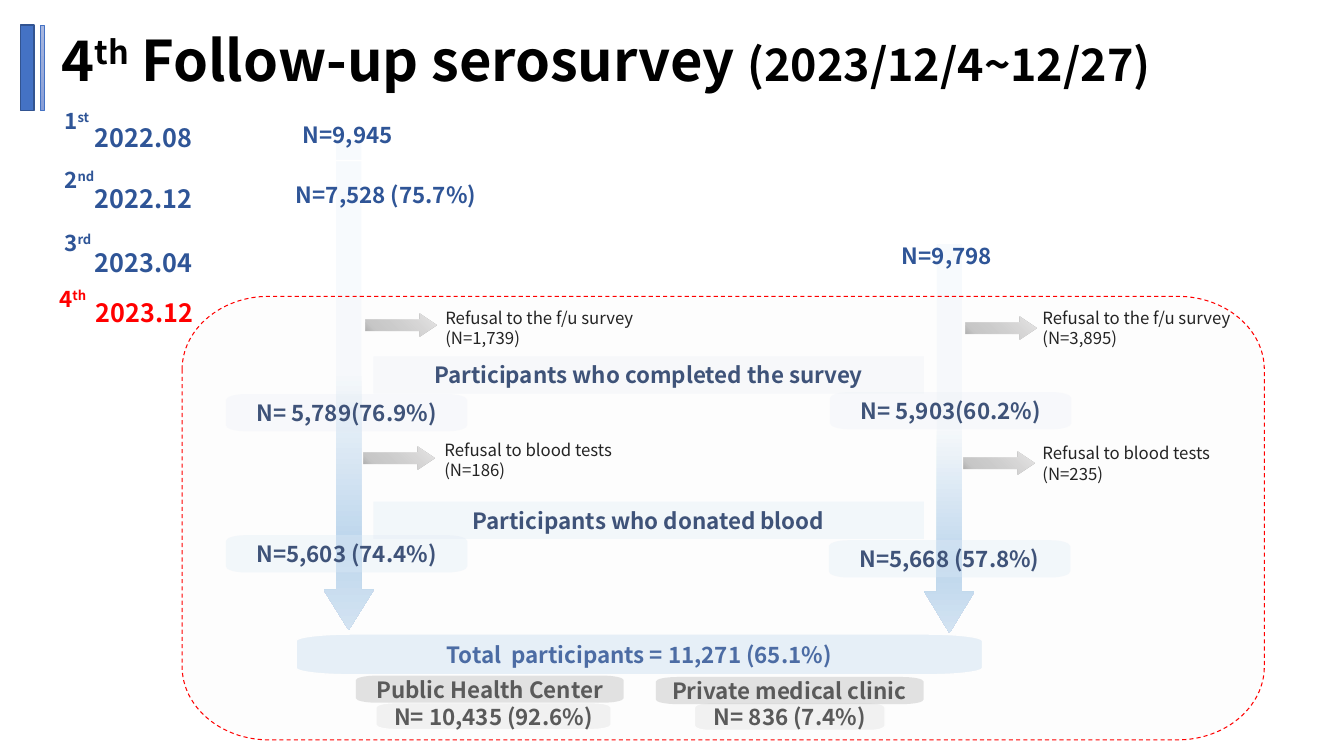
from lxml.etree import SubElement
from pptx import Presentation
from pptx.dml.color import RGBColor
from pptx.enum.dml import MSO_LINE
from pptx.enum.shapes import MSO_SHAPE
from pptx.enum.text import MSO_ANCHOR, MSO_AUTO_SIZE, PP_ALIGN
from pptx.oxml.ns import qn
from pptx.util import Pt

FONT = "Noto Sans CJK KR"
COLORS = {
    "black": "000000", "white": "FFFFFF", "red": "FF0000",
    "blue": "2F5597", "navy": "203864", "bar": "4472C4", "bar edge": "325491",
    "pale blue": "DEEBF7", "lavender": "DAE3F3",
    "charcoal": "404040", "gray": "A6A6A6", "light gray": "D9D9D9", "mist": "F2F2F2",
    "bar top": "A8B7DF", "bar middle": "9AABD9", "bar end": "889ED7",
    "flow top": "F7FAFD", "flow deep": "B5D2EC", "flow end": "CEE1F2",
    "exit tip": "E7E6E6", "exit body": "A5A5A5", "exit tail": "939393",
}
# Gradient stops: position, colour, opacity
BAR_STOPS = [(0, "bar top", 100), (50, "bar middle", 100), (100, "bar end", 100)]
FLOW_STOPS = [(47, "flow top", 100), (82, "flow deep", 100),
              (83, "flow deep", 100), (100, "flow end", 100)]
EXIT_STOPS = [(0, "exit tip", 100), (82, "exit body", 70), (100, "exit tail", 100)]


def rgb(name):
    return RGBColor.from_string(COLORS[name])


def points(*lengths):
    return [Pt(length) for length in lengths]


def write(frame, text, size=16, color="blue", bold=True, align=PP_ALIGN.CENTER,
          anchor=MSO_ANCHOR.TOP):
    """Write lines of text; a line is a string or a list of (text, size, raised)."""
    frame.word_wrap = True
    frame.vertical_anchor = anchor
    for index, line in enumerate(text if isinstance(text, list) else [text]):
        para = frame.add_paragraph() if index else frame.paragraphs[0]
        para.alignment = align
        for words, points_high, raised in [(line, size, False)] if isinstance(line, str) else line:
            span = para.add_run()
            span.text = words
            span.font.name = FONT
            span.font.size = Pt(points_high)
            span.font.bold = bold
            span.font.color.rgb = rgb(color)
            if raised:
                span.font._element.set("baseline", "30000")


def paint(shape, fill=None, opacity=100, line=None, width=1):
    shape.shadow.inherit = False
    if fill:
        shape.fill.solid()
        shape.fill.fore_color.rgb = rgb(fill)
        if opacity < 100:
            color = shape._element.spPr.find(qn("a:solidFill"))[0]
            SubElement(color, qn("a:alpha"), val=str(opacity * 1000))
    else:
        shape.fill.background()
    if line:
        shape.line.color.rgb = rgb(line)
        shape.line.width = Pt(width)
    else:
        shape.line.fill.background()


def shade(shape, stops, clockwise):
    shape.fill.gradient()
    shape.fill.gradient_angle = 360 - clockwise
    stop_list = shape._element.spPr.find(qn("a:gradFill")).find(qn("a:gsLst"))
    for old_stop in list(stop_list):
        stop_list.remove(old_stop)
    for position, name, opacity in stops:
        stop = SubElement(stop_list, qn("a:gs"), pos=str(position * 1000))
        color = SubElement(stop, qn("a:srgbClr"), val=COLORS[name])
        if opacity < 100:
            SubElement(color, qn("a:alpha"), val=str(opacity * 1000))


def add_block(page, kind, place, **look):
    shape = page.shapes.add_shape(kind, *points(*place))
    paint(shape, **look)
    return shape


def add_arrow(page, kind, place, head, stops, clockwise):
    arrow = add_block(page, kind, place)
    arrow.adjustments[0], arrow.adjustments[1] = 0.5, head
    shade(arrow, stops, clockwise)


def add_rounded(page, place, **look):
    """Draw a box whose corners are quarter ellipses in proportion to its sides."""
    left, top, width, height = place
    right, bottom, across, down = left + width, top + height, width * 0.08, height * 0.165
    outline = [points(*spot) for spot in [
        (left, top + down), (left + across, top), (right - across, top), (right, top + down),
        (right, bottom - down), (right - across, bottom),
        (left + across, bottom), (left, bottom - down)]]
    builder = page.shapes.build_freeform(*outline[0], scale=1.0)
    builder.add_line_segments(outline[1:], close=True)
    shape = builder.convert_to_shape()

    # Turn every second segment, which cuts a corner, into a curve
    ends = list(shape._element.spPr.iter(qn("a:pt")))
    spots = [(int(end.get("x")), int(end.get("y"))) for end in ends]
    for index in range(0, 8, 2):
        start, finish = spots[index], spots[index + 1]
        tip = (start[0], finish[1]) if index % 4 == 0 else (finish[0], start[1])
        curve = ends[index + 1].getparent()
        curve.tag = qn("a:cubicBezTo")
        for place_in_curve, base in enumerate([start, finish]):
            x, y = [round(a + (b - a) * 0.55) for a, b in zip(base, tip)]
            handle = SubElement(curve, qn("a:pt"), x=str(x), y=str(y))
            curve.insert(place_in_curve, handle)
    paint(shape, **look)
    return shape


def add_label(page, text, place, color="blue", size=16, align=PP_ALIGN.CENTER, **look):
    if look:
        box = add_rounded(page, place, **look)
    else:
        box = page.shapes.add_textbox(*points(*place))
    frame = box.text_frame
    frame.margin_left = Pt(0 if align == PP_ALIGN.CENTER else 11.5)
    frame.margin_right = frame.margin_top = frame.margin_bottom = 0
    write(frame, text, size=size, color=color, align=align, anchor=MSO_ANCHOR.MIDDLE)


def add_note(page, text, place, **form):
    box = page.shapes.add_textbox(*points(*place))
    write(box.text_frame, text, align=PP_ALIGN.LEFT, **form)


def add_dates(page, dates, place, heights):
    table = page.shapes.add_table(len(dates), 1, *points(*place)).table
    table.first_row = table.horz_banding = False
    for row, date, height in zip(table.rows, dates, heights):
        row.height = Pt(height)
        row.cells[0].fill.background()
        write(row.cells[0].text_frame, date, size=18)


def add_title(page):
    title = page.shapes.title
    title.left, title.top, title.width, title.height = points(36.7, 14.4, 866.2, 55.4)
    title.text_frame.auto_size = MSO_AUTO_SIZE.NONE
    write(title.text_frame, [[("4", 40, False), ("th", 40, True),
                              (" Follow-up serosurvey ", 40, False),
                              ("(2023/12/4~12/27)", 32, False)]],
          color="black", align=PP_ALIGN.LEFT)


def main():
    deck = Presentation()
    deck.slide_width, deck.slide_height = points(960, 540)
    page = deck.slides.add_slide(deck.slide_layouts[5])
    add_title(page)

    # Total, flow arrows and survey dates
    add_label(page, "Total  participants = 11,271 (65.1%)", (211.5, 452.9, 490.3, 29.1),
              fill="pale blue", opacity=76, line="white")
    add_arrow(page, MSO_SHAPE.DOWN_ARROW, (660.2, 174.2, 36, 277.9), 0.82, FLOW_STOPS, 90)
    add_dates(page, ["2022.08", "2022.12", "2023.04"], (51.1, 81, 103, 126), [43.2, 46.1, 36.7])
    add_arrow(page, MSO_SHAPE.DOWN_ARROW, (231.1, 100.1, 36, 349.9), 0.8, FLOW_STOPS, 90)

    # Bars beside the title
    add_block(page, MSO_SHAPE.RECTANGLE, (14.8, 17.8, 9.4, 61.2), fill="bar", line="bar edge")
    thin_bar = add_block(page, MSO_SHAPE.RECTANGLE, (28.8, 17.8, 2.9, 61.2), line="bar", width=0.5)
    shade(thin_bar, BAR_STOPS, 90)

    # Starting counts
    add_label(page, "N=9,945", (200.2, 77.3, 96.5, 37.4), line="white")
    add_label(page, "N=7,528 (75.7%)", (199.9, 120.2, 187.9, 37.4), align=PP_ALIGN.LEFT)
    add_label(page, "N=9,798", (627.1, 163.9, 98.6, 37.4))

    # Stage headings
    for heading, top, fill, opacity in [
            ("Participants who completed the survey", 254.6, "lavender", 17),
            ("Participants who donated blood", 358.3, "pale blue", 35)]:
        band = add_block(page, MSO_SHAPE.RECTANGLE, (266.8, top, 393.1, 26.6),
                         fill=fill, opacity=opacity)
        write(band.text_frame, heading, color="navy", anchor=MSO_ANCHOR.MIDDLE)

    # Counts at each stage
    for text, left, top, fill, opacity in [
            ("N= 5,789(76.9%)", 161.3, 281.5, "lavender", 15),
            ("N=5,603 (74.4%)", 161.3, 382.3, "pale blue", 35),
            ("N= 5,903(60.2%)", 592.8, 280.1, "lavender", 15),
            ("N=5,668 (57.8%)", 592, 385.9, "pale blue", 35)]:
        add_label(page, text, (left, top, 172.5, 26.6), color="navy", fill=fill, opacity=opacity)

    # Refusals: reason, count, note position, arrow position
    for reason, count, note, arrow in [
            ("Refusal to the f/u survey", "(N=1,739)", (311, 216), (261.4, 223.9)),
            ("Refusal to blood tests", "(N=186)", (310.3, 310.3), (259.9, 319)),
            ("Refusal to the f/u survey", "(N=3,895)", (737.5, 216), (689.8, 226.1)),
            ("Refusal to blood tests", "(N=235)", (737.5, 313), (688.3, 322.6))]:
        add_note(page, [reason, count], (*note, 172.8, 36), size=12, color="black", bold=False)
        add_arrow(page, MSO_SHAPE.RIGHT_ARROW, (*arrow, 50.4, 16.6), 0.74, EXIT_STOPS, 135)

    # Survey rounds
    for number, suffix, left, top, color in [
            ("1", "st", 38.9, 72.7, "blue"), ("2", "nd", 38.9, 114.8, "blue"),
            ("3", "rd", 38.9, 159.8, "blue"), ("4", "th", 35.3, 200.2, "red")]:
        add_note(page, [[(number, 16, False), (suffix, 16, True)]], (left, top, 48.2, 26.6),
                 color=color)

    # Places of the blood tests
    add_label(page, "N= 10,435 (92.6%)", (268.6, 502, 167.8, 19.1), color="charcoal",
              fill="light gray", opacity=35, line="white")
    add_label(page, "Public Health Center", (254.2, 482.6, 191.2, 19.4), color="charcoal",
              fill="gray", opacity=35)
    add_label(page, "N= 836 (7.4%)", (496.1, 502, 136.1, 19.8), color="charcoal",
              fill="light gray", opacity=35, line="white")
    add_label(page, "Private medical clinic", (468.5, 483.6, 191.2, 19.4), color="charcoal",
              align=PP_ALIGN.LEFT, fill="gray", opacity=35)

    # Current round and its frame
    add_label(page, "2023.12", (53.5, 199, 99.4, 48.2), color="red", size=18)
    frame = add_rounded(page, (130.1, 211.7, 773, 316.8), fill="mist", opacity=15,
                        line="red", width=0.75)
    frame.line.dash_style = MSO_LINE.DASH

    deck.save("out.pptx")


if __name__ == "__main__":
    main()
